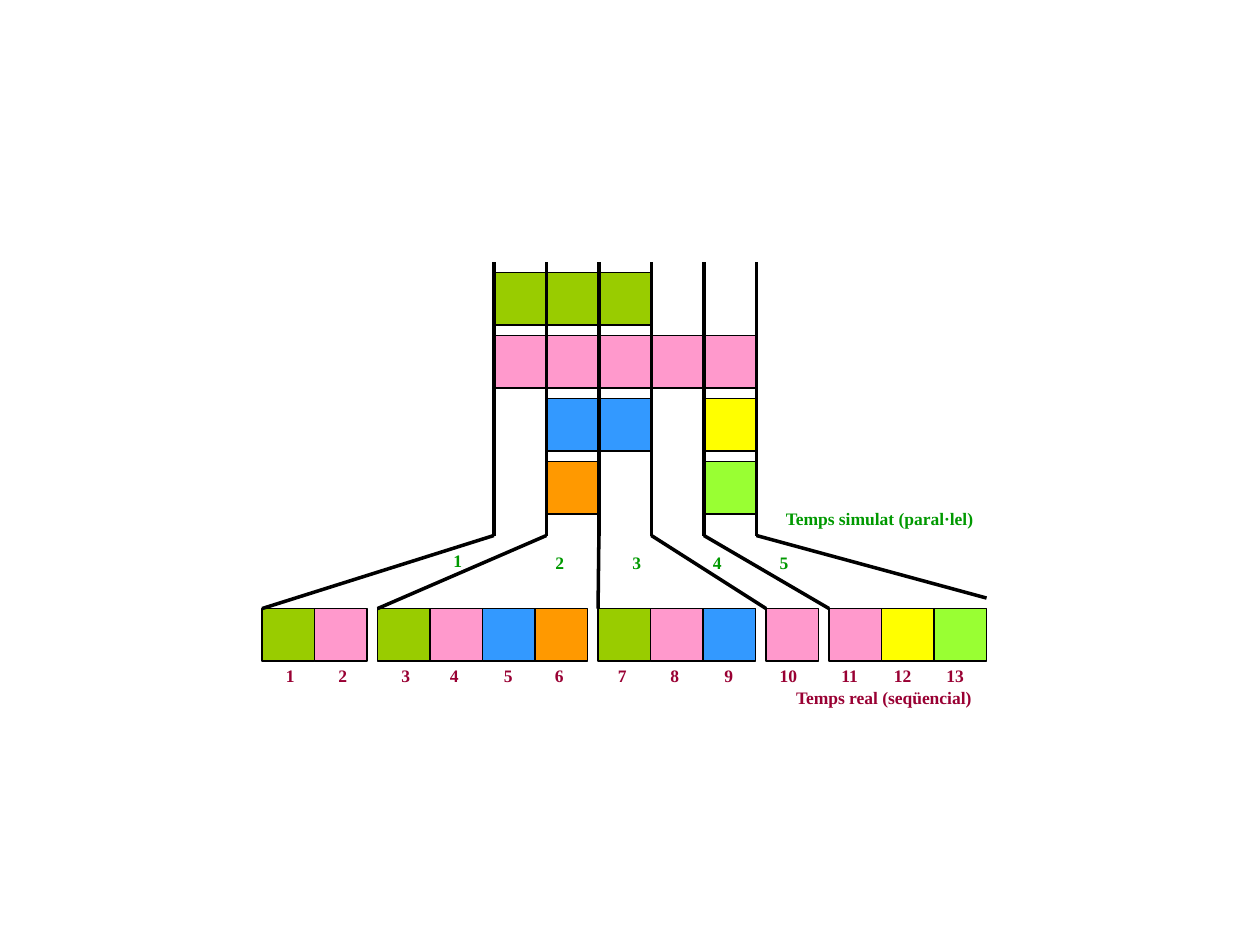
from pptx import Presentation
from pptx.dml.color import RGBColor
from pptx.enum.shapes import MSO_CONNECTOR, MSO_SHAPE
from pptx.enum.text import MSO_AUTO_SIZE, PP_ALIGN
from pptx.oxml.xmlchemy import OxmlElement
from pptx.util import Inches, Pt

BLACK = RGBColor(0x00, 0x00, 0x00)
OLIVE = RGBColor(0x99, 0xCC, 0x00)
PINK = RGBColor(0xFF, 0x99, 0xCC)
BLUE = RGBColor(0x33, 0x99, 0xFF)
ORANGE = RGBColor(0xFF, 0x99, 0x00)
YELLOW = RGBColor(0xFF, 0xFF, 0x00)
LIME = RGBColor(0x99, 0xFF, 0x33)
GREEN = RGBColor(0x00, 0x99, 0x00)
CRIMSON = RGBColor(0x99, 0x00, 0x33)

CELL = 5 / 12
GAP = 1 / 12
STEPS = 5
LABEL_H = 0.27
PROCESSES = [
    (OLIVE, 0, (0, 1, 2)),
    (PINK, 1, (0, 1, 2, 3, 4)),
    (BLUE, 2, (1, 2)),
    (YELLOW, 2, (4,)),
    (ORANGE, 3, (1,)),
    (LIME, 3, (4,)),
]


def add_cell(s, left, top, color):
    sp = s.shapes.add_shape(MSO_SHAPE.RECTANGLE, Inches(left), Inches(top),
                            Inches(CELL), Inches(CELL))
    sp.shadow.inherit = False
    sp.fill.solid()
    sp.fill.fore_color.rgb = color
    sp.line.color.rgb = BLACK
    sp.line.width = Pt(1)


def add_line(s, x1, y1, x2, y2):
    cn = s.shapes.add_connector(MSO_CONNECTOR.STRAIGHT, Inches(x1), Inches(y1),
                                Inches(x2), Inches(y2))
    cn.line.color.rgb = BLACK
    cn.line.width = Pt(2)
    cn._element.spPr.append(OxmlElement("a:effectLst"))


def add_label(s, left, top, width, text, color, align=PP_ALIGN.LEFT):
    sp = s.shapes.add_textbox(Inches(left), Inches(top), Inches(width), Inches(LABEL_H))
    tf = sp.text_frame
    tf.word_wrap = False
    tf.auto_size = MSO_AUTO_SIZE.SHAPE_TO_FIT_TEXT
    p = tf.paragraphs[0]
    p.alignment = align
    r = p.add_run()
    r.text = text
    for name, value in {"name": "Times New Roman", "size": Pt(10), "bold": True}.items():
        setattr(r.font, name, value)
    r.font.color.rgb = color


def add_parallel_time(s, left, top, height):
    for color, row, steps in PROCESSES:
        for step in steps:
            add_cell(s, left + step * CELL, top + GAP + row * (CELL + GAP), color)
    edges = [left + i * CELL for i in range(STEPS + 1)]
    for x in edges:
        add_line(s, x, top, x, top + height)
    add_label(s, 6.13, 3.98, 1.7, "Temps simulat (paral·lel)", GREEN, PP_ALIGN.CENTER)
    return edges


def add_sequential_time(s, left, top):
    offsets = iter((0.09, 0.09, 0.09, 0.06, 0.07, 0.06, 0.06, 0.06, 0.07, 0.01, 0, 0, 0))
    starts = []
    number = 0
    x = left
    for step in range(STEPS):
        starts.append(x)
        for color in (c for c, row, steps in PROCESSES if step in steps):
            number += 1
            add_cell(s, x, top, color)
            add_label(s, x + next(offsets), top + 0.4, 0.27 if number < 10 else 0.34,
                      str(number), CRIMSON)
            x += CELL
        x += GAP
    add_label(s, 6.22, 5.4, 1.6, "Temps real (seqüencial)", CRIMSON)
    return starts, x - GAP


def add_step_links(s, edges, starts, end, top, bottom):
    for x, start in zip(edges, starts):
        add_line(s, x, top, start, bottom)
    add_line(s, edges[-1], top, end, bottom - GAP)
    for i, x in enumerate((3.5, 4.31, 4.92, 5.56, 6.09)):
        add_label(s, x, top + (0.07 if i == 0 else 0.08), 0.27, str(i + 1), GREEN)


def main():
    prs = Presentation()
    prs.slide_width = Inches(10)
    prs.slide_height = Inches(7.5)
    s = prs.slides.add_slide(prs.slide_layouts[6])
    edges = add_parallel_time(s, 3.92, 2.08, 2.17)
    starts, end = add_sequential_time(s, 2.08, 4.83)
    add_step_links(s, edges, starts, end, 4.25, 4.83)
    prs.save("out.pptx")


if __name__ == "__main__":
    main()
